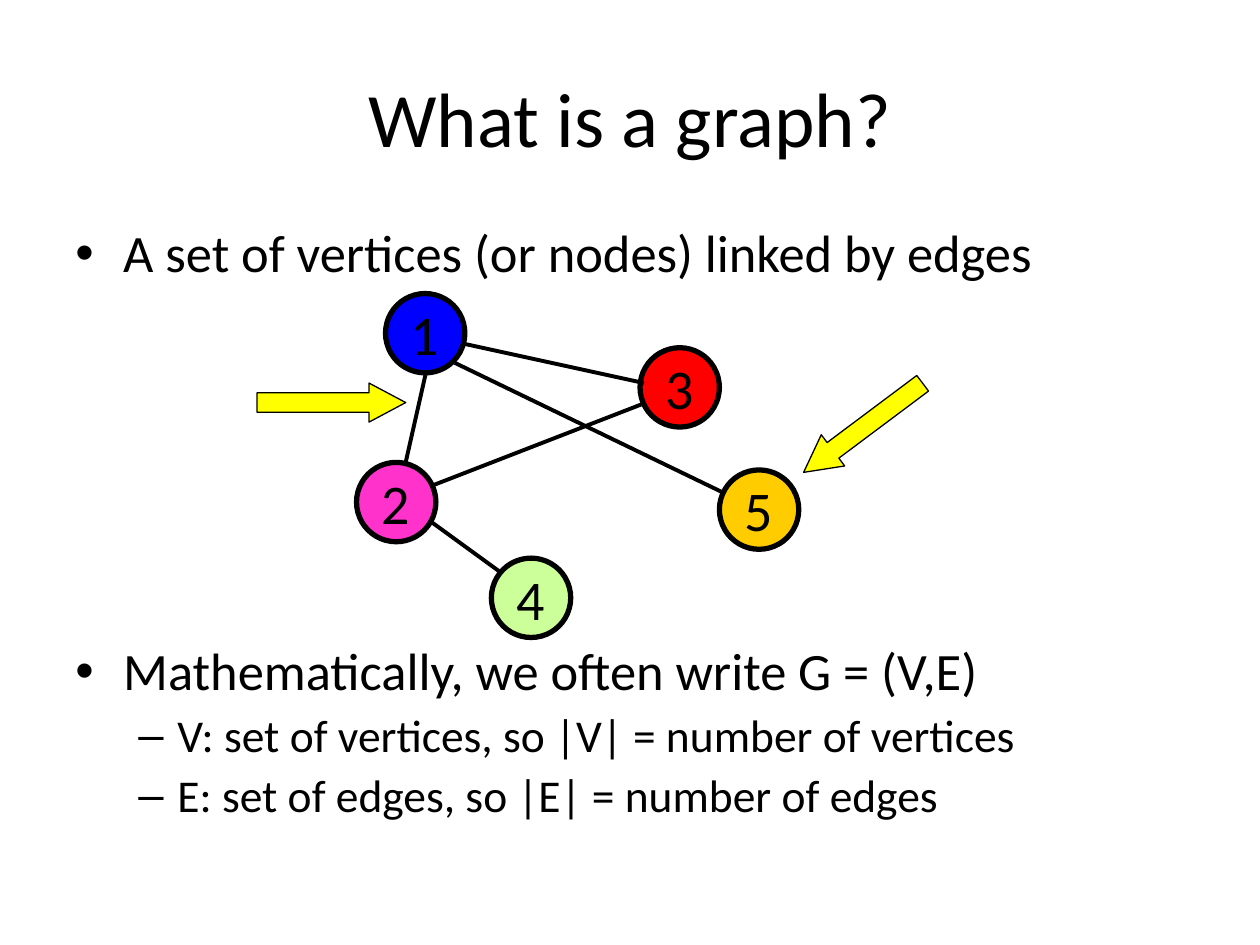
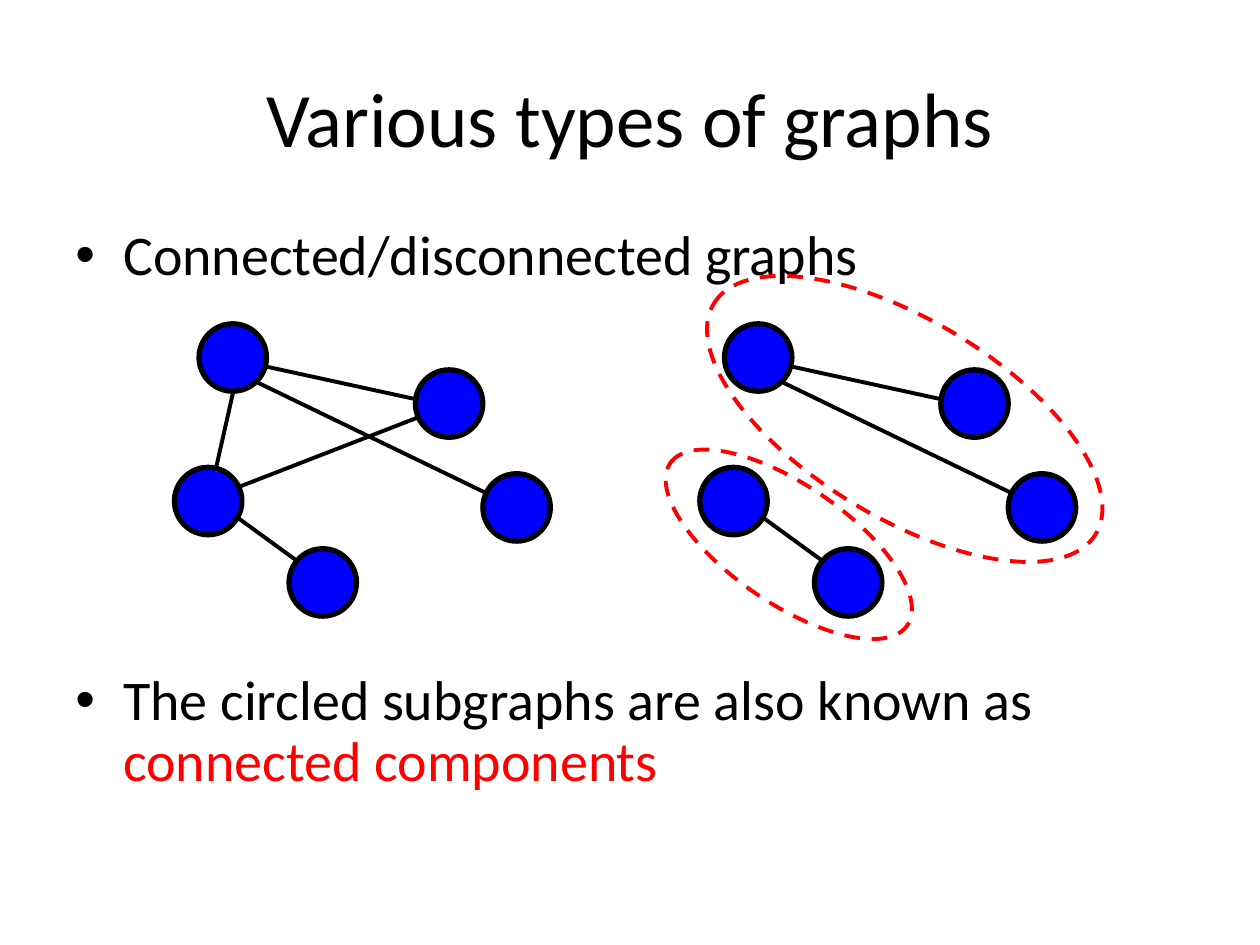
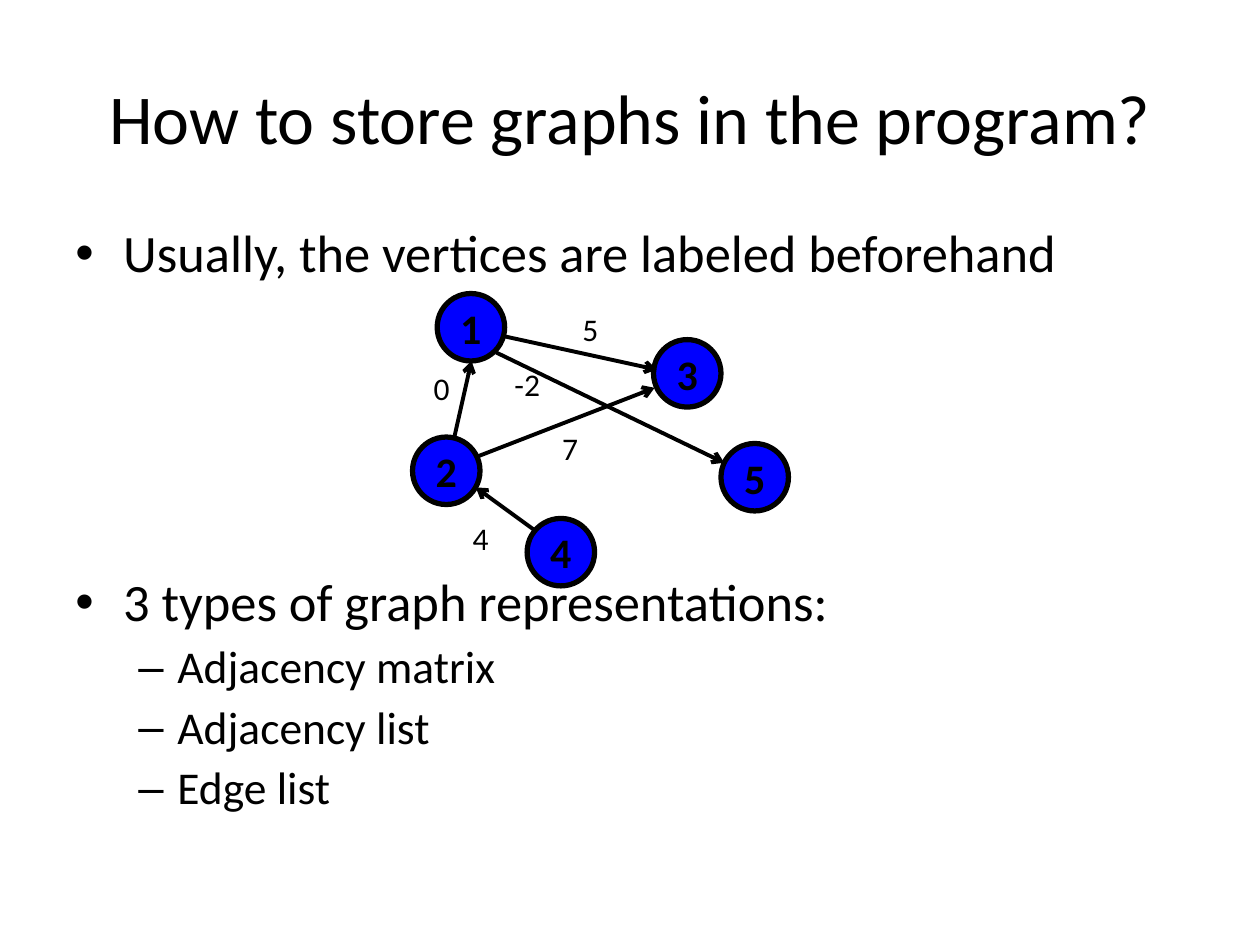
from lxml import etree
from pptx import Presentation
from pptx import util as u
from pptx.dml.color import RGBColor
from pptx.enum import dml, shapes, text
from pptx.oxml.ns import qn

FONT = "Calibri"
COLORS = {"black": "000000", "blue": "0000FF", "red": "FF0000",
          "green": "CCFF99", "pink": "FF33CC", "orange": "FFCC00",
          "yellow": "FFFF00"}

# Body lines: level, runs of (words, colour), extra space before in points
GRAPH_LINES = [
    (0, [("A set of vertices (or nodes) linked by edges", "black")], 0),
    (0, [("Mathematically, we often write G = (V,E)", "black")], 199),
    (1, [("V: set of vertices, so |V| = number of vertices", "black")], 0),
    (1, [("E: set of edges, so |E| = number of edges", "black")], 0),
]
TYPES_LINES = [
    (0, [("Connected/disconnected graphs", "black")], 0),
    (0, [("The circled subgraphs are also known as ", "black"),
         ("connected components", "red")], 212),
]
STORE_LINES = [
    (0, [("Usually, the vertices are labeled beforehand", "black")], 0),
    (0, [("3 types of graph representations:", "black")], 160),
    (1, [("Adjacency matrix", "black")], 0),
    (1, [("Adjacency list", "black")], 0),
    (1, [("Edge list", "black")], 0),
]
LEVELS = [  # bullet, left margin, hanging indent
    ("•", 0.38, -0.38),
    ("–", 0.81, -0.31),
]

# The example graph, in inches from the corner of vertex 1
DIAMETER = 0.63
VERTICES = {1: (0, 0), 3: (2.02, 0.43), 4: (0.84, 2.1),
            2: (-0.23, 1.34), 5: (2.65, 1.4)}
EDGES = {(1, 3): ((0.63, 0.4), (2.05, 0.71)),
         (2, 1): ((0.16, 1.34), (0.32, 0.63)),
         (4, 2): ((0.91, 2.21), (0.36, 1.81)),
         (1, 5): ((0.55, 0.55), (2.68, 1.58)),
         (2, 3): ((0.38, 1.52), (2.03, 0.88))}
SMALL = 0.85
VERTEX_COLORS = {1: "blue", 2: "pink", 3: "red", 4: "green", 5: "orange"}
ALL_BLUE = dict.fromkeys(VERTICES, "blue")
POINTERS = [(2.04, 3.04, 0), (6.26, 3.24, 143.2)]  # left, top, rotation
COMPONENTS = [(5.12, 3.85, 2.28, 0.94, 34.4), (5.41, 2.54, 3.54, 1.57, 31.1)]
WEIGHTS = [("5", 4.45, 2.41), ("-2", 3.95, 2.85), ("7", 4.29, 3.36),
           ("4", 3.58, 4.07), ("0", 3.27, 2.88)]


def rgb(name):
    return RGBColor.from_string(COLORS[name])


def inches(*lengths):
    return [u.Inches(length) for length in lengths]


def style(font, size, color="black", bold=False):
    font.name, font.size, font.bold = FONT, u.Pt(size), bold
    font.color.rgb = rgb(color)


def center(frame, words, size, bold=False):
    frame.text = words
    line = frame.paragraphs[0]
    line.alignment = text.PP_ALIGN.CENTER
    style(line.runs[0].font, size, bold=bold)


def add_bullet(paragraph, level):
    mark, margin, indent = LEVELS[level]
    props = paragraph._p.get_or_add_pPr()
    props.set("marL", str(u.Inches(margin)))
    props.set("indent", str(u.Inches(indent)))
    color = etree.SubElement(props, qn("a:buClr"))
    etree.SubElement(color, qn("a:srgbClr"), val=COLORS["black"])
    etree.SubElement(props, qn("a:buFont"), typeface="Arial")
    etree.SubElement(props, qn("a:buChar"), char=mark)


def add_page(deck, title, title_size, lines, sizes):
    slide = deck.slides.add_slide(deck.slide_layouts[5])
    heading = slide.shapes.title
    heading.left, heading.top, heading.width, heading.height = inches(
        0.5, 0.3, 9, 1.25)
    center(heading.text_frame, title, title_size)
    heading.text_frame.auto_size = text.MSO_AUTO_SIZE.NONE
    heading.text_frame.vertical_anchor = text.MSO_ANCHOR.MIDDLE

    body = slide.shapes.add_textbox(*inches(0.5, 1.75, 9, 4.95)).text_frame
    body.word_wrap = True
    for index, (level, runs, gap) in enumerate(lines):
        line = body.add_paragraph() if index else body.paragraphs[0]
        line.level = level
        line.line_spacing = 0.9
        if index:
            line.space_before = u.Pt(sizes[level] / 4 + gap)
        add_bullet(line, level)
        for words, color in runs:
            run = line.add_run()
            run.text = words
            style(run.font, sizes[level], color)
    return slide


def add_figure(slide, kind, box, fill, line="black", width=3, rotation=0):
    figure = slide.shapes.add_shape(kind, *inches(*box))
    figure.shadow.inherit = False
    figure.rotation = rotation
    if fill:
        figure.fill.solid()
        figure.fill.fore_color.rgb = rgb(fill)
    else:
        figure.fill.background()
    figure.line.color.rgb = rgb(line)
    figure.line.width = u.Pt(width)
    return figure


def add_graph(slide, left, top, colors, scale=1, edges=EDGES,
              label_size=None, bold=False, directed=False):
    size = DIAMETER * scale
    for number, (dx, dy) in VERTICES.items():
        vertex = add_figure(slide, shapes.MSO_SHAPE.OVAL,
                            (left + dx * scale, top + dy * scale, size, size),
                            colors[number])
        if label_size:
            frame = vertex.text_frame
            center(frame, str(number), label_size, bold)
            frame.word_wrap = False
            frame.vertical_anchor = text.MSO_ANCHOR.MIDDLE
    for edge in edges:
        ends = [corner + offset * scale for point in EDGES[edge]
                for corner, offset in zip((left, top), point)]
        link = slide.shapes.add_connector(shapes.MSO_CONNECTOR.STRAIGHT,
                                          *inches(*ends))
        link.line.color.rgb = rgb("black")
        link.line.width = u.Pt(2.25)
        if directed:
            etree.SubElement(link.line._get_or_add_ln(), qn("a:tailEnd"),
                             type="arrow")
        etree.SubElement(link._element.spPr, qn("a:effectLst"))


def main():
    deck = Presentation()
    deck.slide_width, deck.slide_height = inches(10, 7.5)

    # Definition of a graph
    slide = add_page(deck, "What is a graph?", 44, GRAPH_LINES, (30, 26))
    add_graph(slide, 3.06, 2.33, VERTEX_COLORS, label_size=32)
    for left, top, rotation in POINTERS:
        pointer = add_figure(slide, shapes.MSO_SHAPE.RIGHT_ARROW,
                             (left, top, 1.18, 0.31), "yellow",
                             width=0.75, rotation=rotation)
        pointer.adjustments[0], pointer.adjustments[1] = 0.5, 0.94

    # Connected graph beside a disconnected one
    slide = add_page(deck, "Various types of graphs", 44, TYPES_LINES, (32,))
    add_graph(slide, 5.75, 2.57, ALL_BLUE, SMALL, [(1, 3), (4, 2), (1, 5)])
    add_graph(slide, 1.58, 2.57, ALL_BLUE, SMALL)
    for *box, rotation in COMPONENTS:
        ring = add_figure(slide, shapes.MSO_SHAPE.OVAL, box, None, "red",
                          2.25, rotation)
        ring.line.dash_style = dml.MSO_LINE.DASH

    # Directed graph with weights
    slide = add_page(deck, "How to store graphs in the program?", 40,
                     STORE_LINES, (30, 26))
    add_graph(slide, 3.47, 2.33, ALL_BLUE, SMALL, label_size=24, bold=True,
              directed=True)
    for weight, left, top in WEIGHTS:
        label = slide.shapes.add_textbox(*inches(left, top, 0.47, 0.4))
        label.text_frame.word_wrap = True
        center(label.text_frame, weight, 18)

    deck.save("out.pptx")


if __name__ == "__main__":
    main()
